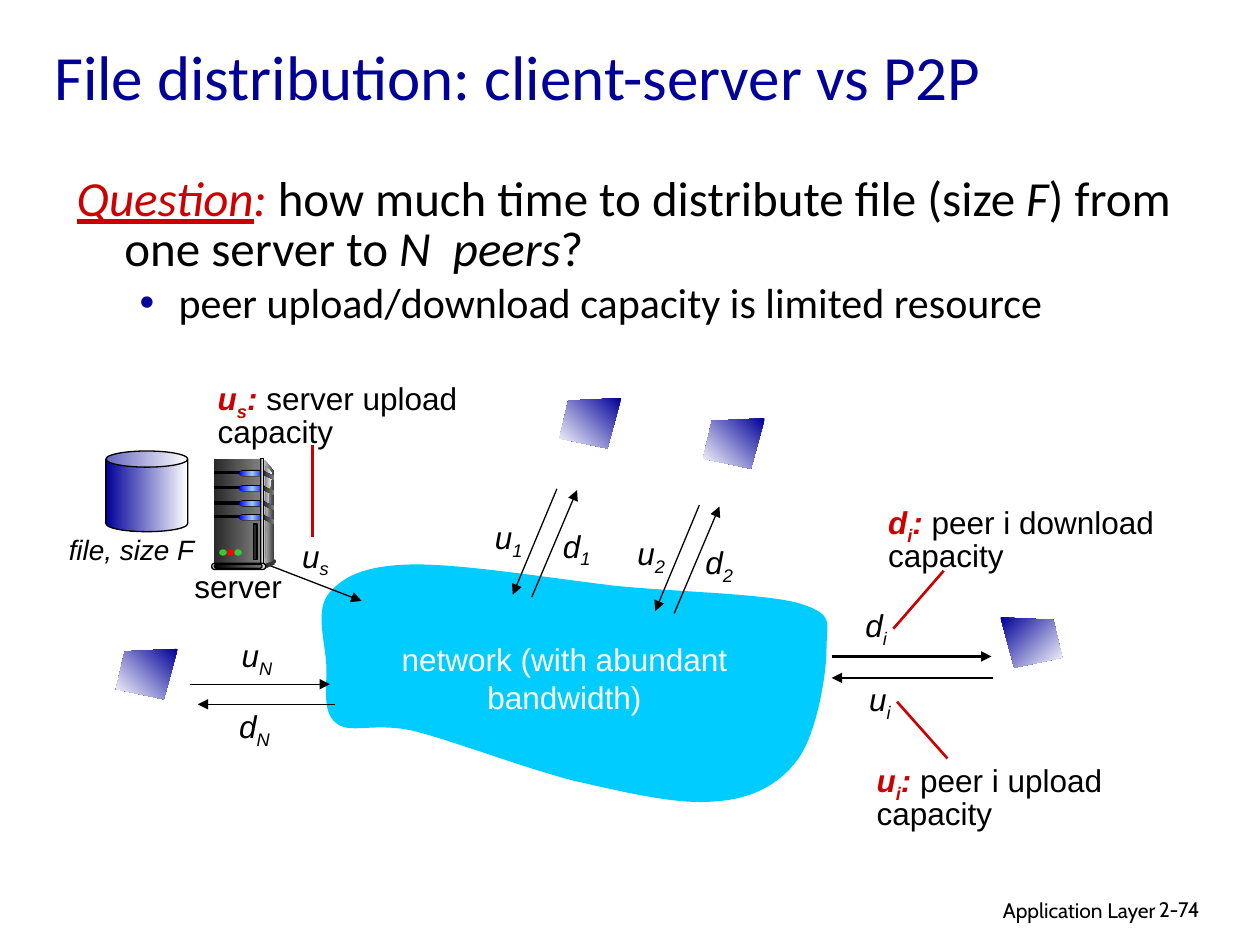
from lxml import etree
from pptx import Presentation
from pptx import util as u
from pptx.dml.color import RGBColor
from pptx.enum import shapes, text
from pptx.oxml import ns

BLACK, WHITE, RED, NAVY = "000000", "FFFFFF", "CC0000", "000099"
SHAPE = shapes.MSO_SHAPE
LEFT, CENTER, RIGHT = text.PP_ALIGN.LEFT, text.PP_ALIGN.CENTER, text.PP_ALIGN.RIGHT


def rgb(value):
    return RGBColor.from_string(value)


def child(parent, tag, **attrs):
    """Append a DrawingML element to parent."""
    return etree.SubElement(parent, ns.qn("a:" + tag), attrs)


def symbol(letter, index, **style):
    return [(letter, dict(i=True, **style)), (index, dict(i=True, sub=True, **style))]


class Deck:
    font, size = "Arial", 18

    def __init__(self, prs):
        self.s = prs.slides.add_slide(prs.slide_layouts[5])
        self.shapes = self.s.shapes

    def runs(self, p, parts, size=None, font=None, color=BLACK):
        for words, style in parts:
            r = p.add_run()
            r.text = words
            f = r.font
            f.name, f.size = font or self.font, u.Pt(size or self.size)
            f.color.rgb = rgb(style.get("color", color))
            f.bold, f.italic = style.get("b", False), style.get("i", False)
            if style.get("line"):
                f.underline = True
            if style.get("sub"):
                r._r.get_or_add_rPr().set("baseline", "-25000")

    def title(self, words, x, y, w, h):
        sp = self.s.shapes.title
        sp.left, sp.top, sp.width, sp.height = map(u.Inches, (x, y, w, h))
        sp.text_frame.vertical_anchor = text.MSO_ANCHOR.MIDDLE
        p = sp.text_frame.paragraphs[0]
        p.alignment = LEFT
        self.runs(p, [(words, {})], 36, "Calibri", NAVY)

    def text(self, x, y, w, h, *paragraphs, align=LEFT, spacing=None, **style):
        """Each paragraph is a string or a list of (words, style) runs."""
        tf = self.shapes.add_textbox(*map(u.Inches, (x, y, w, h))).text_frame
        tf.word_wrap = True
        for n, parts in enumerate(paragraphs):
            p = tf.add_paragraph() if n else tf.paragraphs[0]
            p.alignment = align
            if spacing:
                p.line_spacing = spacing
            self.runs(p, [(parts, {})] if isinstance(parts, str) else parts, **style)
        return tf

    def paint(self, sp, fill, line=None, angle=0):
        """Fill is one colour, or a list of evenly spaced gradient colours."""
        sp.shadow.inherit = False
        if isinstance(fill, str):
            sp.fill.solid()
            sp.fill.fore_color.rgb = rgb(fill)
        else:
            sp.fill.gradient()
            grad = sp._element.spPr.find(ns.qn("a:gradFill"))
            for old in list(grad):
                grad.remove(old)
            stops = child(grad, "gsLst")
            for n, value in enumerate(fill):
                stop = child(stops, "gs", pos=str(100000 * n // (len(fill) - 1)))
                child(stop, "srgbClr", val=value)
            child(grad, "lin", ang=str(angle * 60000), scaled="0")
        if line:
            sp.line.color.rgb = rgb(line)
            sp.line.width = u.Pt(0.75)
        else:
            sp.line.fill.background()

    def shape(self, kind, x, y, w, h, fill, line=None, adj=None):
        sp = self.shapes.add_shape(kind, *map(u.Inches, (x, y, w, h)))
        if adj is not None:
            sp.adjustments[0] = adj
        self.paint(sp, fill, line)

    def outline(self, points, fill, angle=0, curved=False):
        """Curved: after the start, every three points make a cubic segment."""
        points = [(u.Inches(x), u.Inches(y)) for x, y in points]
        builder = self.shapes.build_freeform(*points[0])
        builder.add_line_segments(points[1:], close=True)
        sp = builder.convert_to_shape()
        if curved:
            lines = list(sp._element.iter(ns.qn("a:lnTo")))
            for n in range(0, len(lines), 3):
                curve = etree.Element(ns.qn("a:cubicBezTo"))
                lines[n].addprevious(curve)
                for old in lines[n:n + 3]:
                    curve.append(old[0])
                    old.getparent().remove(old)
        self.paint(sp, fill, angle=angle)

    def line(self, x1, y1, x2, y2, color=BLACK, width=0.75, arrow=True):
        c = self.shapes.add_connector(shapes.MSO_CONNECTOR.STRAIGHT,
                                      *map(u.Inches, (x1, y1, x2, y2)))
        c.line.color.rgb = rgb(color)
        c.line.width = u.Pt(width)
        if arrow:
            child(c.line._get_or_add_ln(), "tailEnd", type="triangle")
        child(c._element.spPr, "effectLst")

    def server(self):
        slide_shapes = self.shapes
        self.shapes = slide_shapes.add_group_shape().shapes
        dark, steel = ["292929", "808080"], ["333333", "DDDDDD", "333333"]
        self.outline([(2.1, 3.65), (2.18, 3.75), (2.18, 4.45), (2.08, 4.48)],
                     ["DDDDDD", "333333"])
        self.shape(SHAPE.RECTANGLE, 1.7, 3.64, 0.37, 0.84, dark)
        self.outline([(2.1, 3.7), (2.1, 3.7), (2.12, 3.7), (2.16, 3.76),
                      (2.1, 4.07), (2.11, 4.47), (2.1, 4.46)], ["808080", "F8F8F8"], curved=True)
        for y in (3.74, 3.86, 3.98, 4.09):
            self.shape(SHAPE.RECTANGLE, 1.7, y, 0.21, 0.02, BLACK, BLACK)
            self.shape(SHAPE.ROUNDED_RECTANGLE, 1.9, y - 0.01, 0.21, 0.05, BLACK, adj=0.5)
            self.shape(SHAPE.ROUNDED_RECTANGLE, 1.9, y, 0.2, 0.04,
                       ["0000FF", "99CCFF", "0000FF"], adj=0.5)
            self.outline([(2.09, y), (2.18, y + 0.04), (2.18, y + 0.07), (2.09, y + 0.03)], dark)
        self.shape(SHAPE.RECTANGLE, 2.07, 3.64, 0.02, 0.84, steel, BLACK)
        self.shape(SHAPE.OVAL, 2.17, 4.44, 0.02, 0.03, "333333")
        self.outline([(2.09, 4.48), (2.09, 4.52), (2.18, 4.48), (2.18, 4.45)], "333333")
        self.shape(SHAPE.ROUNDED_RECTANGLE, 1.68, 4.47, 0.43, 0.05, "DDDDDD", BLACK, 0.5)
        self.shape(SHAPE.ROUNDED_RECTANGLE, 1.7, 4.48, 0.38, 0.03, [BLACK, "808080"], BLACK, 0.5)
        for x, color in ((1.74, "33CC33"), (1.8, "FF0000"), (1.86, "33CC33")):
            self.shape(SHAPE.OVAL, x, 4.36, 0.06, 0.05, color)
        self.shape(SHAPE.RECTANGLE, 2.01, 4.16, 0.03, 0.28, "292929", BLACK)
        self.shapes = slide_shapes

    def screen(self, x, y, side=1):
        """Peer screen from its dark corner; side 1 spreads right, -1 left."""
        corners = ((0, 0), (0.42, 0.02), (0.49, 0.32), (0.11, 0.4))
        self.outline([(x + side * dx, y + dy) for dx, dy in corners],
                     [NAVY, WHITE], 45 if side == 1 else 135)


def question(deck):
    tf = deck.text(
        0.51, 1.35, 9.03, 0.97,
        [("Question", dict(color=RED, i=True, line=True)), (":", dict(color=RED, i=True)),
         (" how much time to distribute file (size ", {}), ("F", dict(i=True)),
         (") from one server to ", {}), ("N  peers", dict(i=True)), ("?", {})],
        spacing=0.85, font="Calibri", size=28)
    lead = tf.paragraphs[0]._p.get_or_add_pPr()
    lead.set("marL", str(u.Inches(0.38)))
    lead.set("indent", str(u.Inches(-0.38)))
    p = tf.add_paragraph()
    p.level, p.line_spacing, p.space_before = 1, 0.85, u.Pt(4.8)
    pPr = p._p.get_or_add_pPr()
    pPr.set("marL", str(u.Inches(0.81)))
    pPr.set("indent", str(u.Inches(-0.31)))
    child(child(pPr, "buClr"), "srgbClr", val=NAVY)
    child(pPr, "buFont", typeface="Arial")
    child(pPr, "buChar", char="•")
    deck.runs(p, [("peer upload/download capacity is limited resource", {})], 24, "Calibri")


def main():
    prs = Presentation()
    prs.slide_width, prs.slide_height = u.Inches(10), u.Inches(7.5)
    deck = Deck(prs)
    deck.text(6.1, 7.07, 3.17, 0.31, "Application Layer", align=RIGHT, size=12, font="Cabin")
    deck.text(9.1, 7.07, 0.74, 0.3, "2-74", size=12, font="Cabin")
    deck.title("File distribution: client-server vs P2P", 0.33, 0.17, 9.32, 0.85)
    question(deck)

    deck.outline([
        (3.26, 4.48), (2.88, 4.49), (2.72, 4.58), (2.61, 4.71), (2.5, 4.84), (2.58, 5.1),
        (2.59, 5.27), (2.6, 5.44), (2.55, 5.65), (2.67, 5.74), (2.78, 5.83), (2.96, 5.73),
        (3.28, 5.8), (3.6, 5.88), (4.17, 6.1), (4.57, 6.2), (4.97, 6.29), (5.38, 6.39),
        (5.68, 6.36), (5.97, 6.34), (6.18, 6.23), (6.33, 6.03), (6.48, 5.83), (6.56, 5.36),
        (6.56, 5.15), (6.56, 4.94), (6.63, 4.88), (6.35, 4.79), (6.07, 4.71), (5.4, 4.7),
        (4.89, 4.65), (4.38, 4.59), (3.64, 4.47), (3.26, 4.48)], "00CCFF", curved=True)
    deck.text(2.98, 5.03, 3, 0.7, "network (with abundant", "bandwidth)",
              align=CENTER, color=WHITE)
    deck.text(1.25, 4.45, 1.28, 0.4, "server", align=CENTER)
    deck.text(0.28, 4.18, 1.53, 0.37, [("file, size F", dict(i=True))], align=CENTER, size=16)
    deck.shape(SHAPE.CAN, 0.84, 3.58, 0.65, 0.64, [NAVY, WHITE], BLACK, 0.2)

    for x, y, letter, index in ((2.3, 4.21, "u", "s"), (1.82, 5, "u", "N"), (1.8, 5.56, "d", "N"),
                                (6.77, 4.76, "d", "i"), (6.8, 5.35, "u", "i")):
        deck.text(x, y, 0.67, 0.4, symbol(letter, index))
    for x, y, w, letter, index, meaning in (
            (1.63, 2.98, 2.2, "u", "s", " server upload capacity"),
            (6.86, 6.01, 2.83, "u", "i", " peer i upload capacity"),
            (6.95, 3.96, 2.32, "d", "i", " peer i download capacity")):
        deck.text(x, y, w, 0.61, symbol(letter, index, b=True, color=RED)
                  + [(":", dict(b=True, i=True, color=RED)), (meaning, {})], spacing=0.85)

    for x, y, index in ((3.83, 3.88, "1"), (4.96, 4.01, "2")):
        deck.text(x, y + 0.18, 0.67, 0.4, symbol("u", index))
        deck.text(x + 0.54, y + 0.25, 0.67, 0.4, symbol("d", index))
        deck.line(x + 0.59, y, x + 0.24, y + 0.84)
        deck.line(x + 0.39, y + 0.86, x + 0.75, y + 0.01)
    for ends in ((1.99, 4.43, 2.87, 4.77), (1.51, 5.43, 2.62, 5.43), (2.66, 5.59, 1.57, 5.59)):
        deck.line(*ends)
    for ends in ((6.6, 5.21, 7.87, 5.21), (7.88, 5.38, 6.6, 5.38)):
        deck.line(*ends, width=1.5)
    for ends in ((2.48, 3.53, 2.48, 4.26), (7.49, 4.53, 7.09, 4.99), (7.52, 6.02, 7.12, 5.57)):
        deck.line(*ends, color=RED, width=1.5, arrow=False)

    deck.server()
    for x, y in ((1.41, 5.15), (4.93, 3.16), (6.07, 3.32)):
        deck.screen(x, y, side=-1)
    deck.screen(7.94, 4.9)
    prs.save("out.pptx")


if __name__ == "__main__":
    main()
